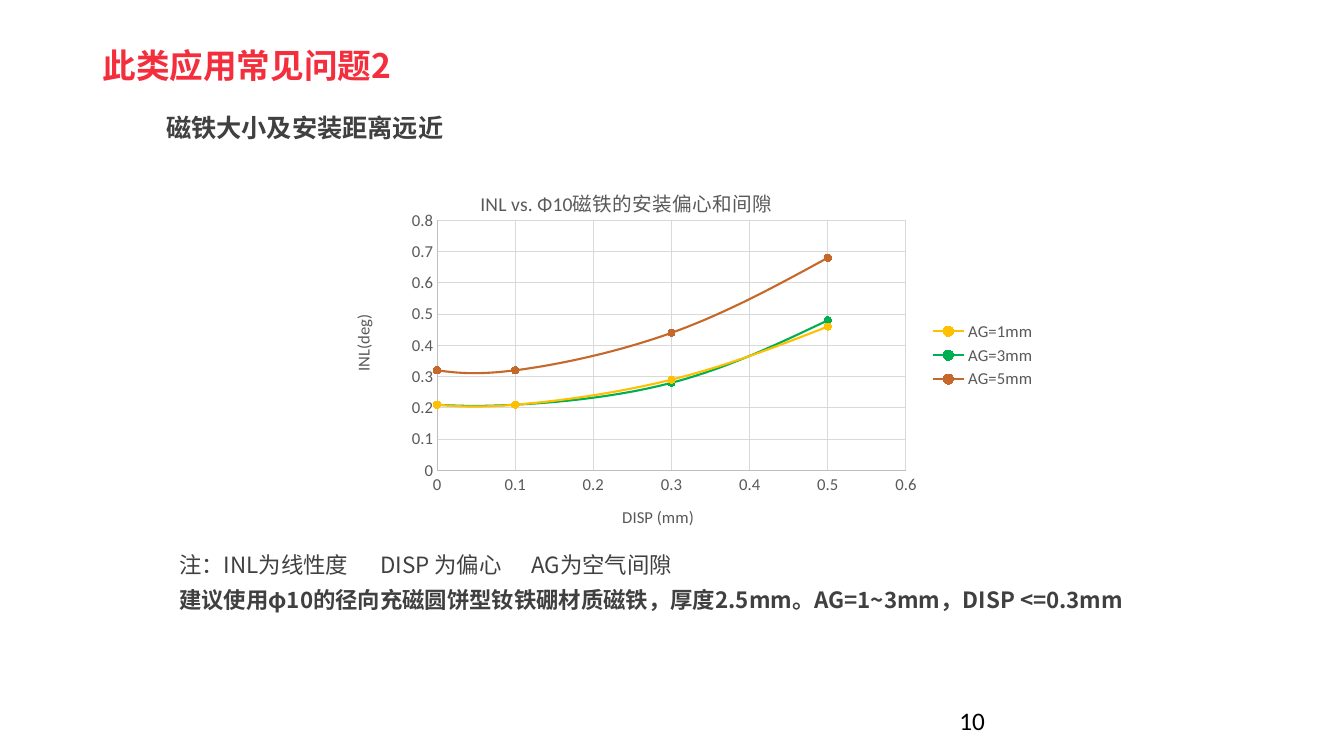
from dataclasses import dataclass

from lxml import etree
from pptx import Presentation
from pptx.chart.data import XyChartData
from pptx.dml.color import RGBColor
from pptx.enum.chart import XL_CHART_TYPE, XL_LEGEND_POSITION, XL_MARKER_STYLE, XL_TICK_MARK
from pptx.enum.text import MSO_ANCHOR, MSO_AUTO_SIZE
from pptx.oxml.ns import qn
from pptx.util import Pt

SMOOTH = XL_CHART_TYPE.XY_SCATTER_SMOOTH
LEGEND_RIGHT = XL_LEGEND_POSITION.RIGHT
CIRCLE = XL_MARKER_STYLE.CIRCLE
NO_TICK = XL_TICK_MARK.NONE
TOP, MIDDLE = MSO_ANCHOR.TOP, MSO_ANCHOR.MIDDLE
GROW, FIXED = MSO_AUTO_SIZE.SHAPE_TO_FIT_TEXT, MSO_AUTO_SIZE.NONE


@dataclass(frozen=True)
class Theme:
    heading_font: str = "Noto Sans CJK SC"
    number_font: str = "Calibri"
    white: str = "FFFFFF"
    red: str = "F42E3C"
    dark: str = "404040"
    black: str = "000000"
    label: str = "595959"
    axis: str = "BFBFBF"
    grid: str = "D9D9D9"
    title_size: float = 24
    subtitle_size: float = 18
    note_size: float = 16
    chart_title_size: float = 14
    label_size: float = 11.9


def apply(target, values):
    for name, value in values.items():
        setattr(target, name, value)


def place(element, **fractions):
    layout = element.find(qn("c:layout"))
    if layout is None:
        layout = etree.Element(qn("c:layout"))
        text = element.find(qn("c:tx"))
        element.insert(0 if text is None else 1, layout)
    for child in list(layout):
        layout.remove(child)
    manual = etree.SubElement(layout, qn("c:manualLayout"))
    settings = {"xMode": "edge", "yMode": "edge", **fractions}
    if "w" in fractions:
        settings = {"layoutTarget": "inner", **settings}
    for name, value in settings.items():
        etree.SubElement(manual, qn(f"c:{name}")).set("val", str(value))


class SlideBuilder:
    def __init__(self, page, theme):
        self.page = page
        self.theme = theme

    def style_font(self, font, size, color, bold=False, name=None):
        apply(font, {"size": Pt(size), "bold": bold, "name": name or self.theme.number_font})
        font.color.rgb = RGBColor.from_string(color)

    def style_line(self, line, color, width):
        line.color.rgb = RGBColor.from_string(color)
        line.width = Pt(width)

    def text(self, bounds, lines, size, color, font=None, fill=None, spacing=None,
             tabs=(), anchor=TOP, wrap=True, auto_size=GROW):
        box = self.page.shapes.add_textbox(*map(Pt, bounds))
        if fill:
            box.fill.solid()
            box.fill.fore_color.rgb = RGBColor.from_string(fill)
        frame = box.text_frame
        apply(frame, {"word_wrap": wrap, "auto_size": auto_size, "vertical_anchor": anchor})
        font = font or self.theme.heading_font
        for index, (words, bold) in enumerate(lines):
            para = frame.paragraphs[0] if index == 0 else frame.add_paragraph()
            para.line_spacing = spacing
            span = para.add_run()
            span.text = words
            self.style_font(span.font, size, color, bold, font)
            east_asian = etree.SubElement(span.font._element, qn("a:ea"))
            east_asian.set("typeface", font)
            if "\t" in words:
                stops = etree.SubElement(para._p.get_or_add_pPr(), qn("a:tabLst"))
                for position in tabs:
                    stop = etree.SubElement(stops, qn("a:tab"))
                    stop.set("pos", str(Pt(position)))
                    stop.set("algn", "l")

    def chart_title(self, title, words, size, left, top):
        frame = title.text_frame
        frame.text = words
        self.style_font(frame.paragraphs[0].runs[0].font, size, self.theme.label)
        place(title._element, x=left, y=top)
        return frame

    def axis(self, axis, maximum, words, left, top):
        apply(axis, {
            "minimum_scale": 0, "maximum_scale": maximum, "major_unit": 0.1,
            "major_tick_mark": NO_TICK, "minor_tick_mark": NO_TICK,
            "has_major_gridlines": True, "has_title": True,
        })
        apply(axis.tick_labels, {"number_format": "General", "number_format_is_linked": False})
        self.style_font(axis.tick_labels.font, self.theme.label_size, self.theme.label)
        self.style_line(axis.format.line, self.theme.axis, 0.75)
        self.style_line(axis.major_gridlines.format.line, self.theme.grid, 0.75)
        return self.chart_title(axis.axis_title, words, self.theme.label_size, left, top)

    def scatter(self, bounds, title, offsets, curves):
        data = XyChartData()
        for name, _, values in curves:
            series = data.add_series(name)
            for offset, value in zip(offsets, values):
                series.add_data_point(offset, value)
        chart = self.page.shapes.add_chart(SMOOTH, *map(Pt, bounds), data).chart
        self.style_font(chart.font, self.theme.label_size, self.theme.label)
        apply(chart, {"has_title": True, "has_legend": True})
        self.chart_title(chart.chart_title, title, self.theme.chart_title_size, 0.2, 0.03)
        apply(chart.legend, {"position": LEGEND_RIGHT, "include_in_layout": False})
        self.style_font(chart.legend.font, self.theme.label_size, self.theme.label)
        self.axis(chart.category_axis, 0.6, "DISP (mm)", 0.4, 0.9)
        side_title = self.axis(chart.value_axis, 0.8, "INL(deg)", 0.02, 0.38)
        side_body = side_title._txBody.find(qn("a:bodyPr"))
        side_body.set("rot", "-5400000")
        side_body.set("vert", "horz")
        place(chart._chartSpace.chart.plotArea, x=0.144, y=0.133, w=0.659, h=0.68)
        plot = chart.plots[0]
        plot.vary_by_categories = False
        for series, (_, color, _) in zip(plot.series, curves):
            series._element.get_or_add_smooth().val = True
            self.style_line(series.format.line, color, 1.5)
            apply(series.marker, {"style": CIRCLE, "size": 5})
            series.marker.format.fill.solid()
            series.marker.format.fill.fore_color.rgb = RGBColor.from_string(color)
            self.style_line(series.marker.format.line, color, 0.75)


def main():
    deck = Presentation()
    apply(deck, {"slide_width": Pt(960), "slide_height": Pt(540)})
    theme = Theme()
    builder = SlideBuilder(deck.slides.add_slide(deck.slide_layouts[6]), theme)
    builder.text((66.2, 20.9, 244.1, 55.4), [("此类应用常见问题2", True)],
                 theme.title_size, theme.red, fill=theme.white, spacing=0.9,
                 anchor=MIDDLE, auto_size=FIXED)
    builder.text((121, 384.5, 773.3, 77),
                 [("注：INL为线性度\tDISP 为偏心\tAG为空气间隙", False),
                  ("建议使用φ10的径向充磁圆饼型钕铁硼材质磁铁，厚度2.5mm。AG=1~3mm，DISP <=0.3mm", True)],
                 theme.note_size, theme.dark, spacing=Pt(25), tabs=(143.5, 251.5))
    builder.text((111.6, 77, 214.6, 28.8), [("磁铁大小及安装距离远近", True)],
                 theme.subtitle_size, theme.dark, wrap=False)
    builder.scatter((239, 122.4, 508.3, 262.8), "INL vs. Φ10磁铁的安装偏心和间隙",
                    (0, 0.1, 0.3, 0.5),
                    [("AG=1mm", "FFC000", (0.21, 0.21, 0.29, 0.46)),
                     ("AG=3mm", "00B050", (0.21, 0.21, 0.28, 0.48)),
                     ("AG=5mm", "C56829", (0.32, 0.32, 0.44, 0.68))])
    builder.text((678.2, 500.4, 216, 28.8), [("10", False)],
                 theme.subtitle_size, theme.black, font=theme.number_font, auto_size=FIXED)
    deck.save("out.pptx")


if __name__ == "__main__":
    main()
